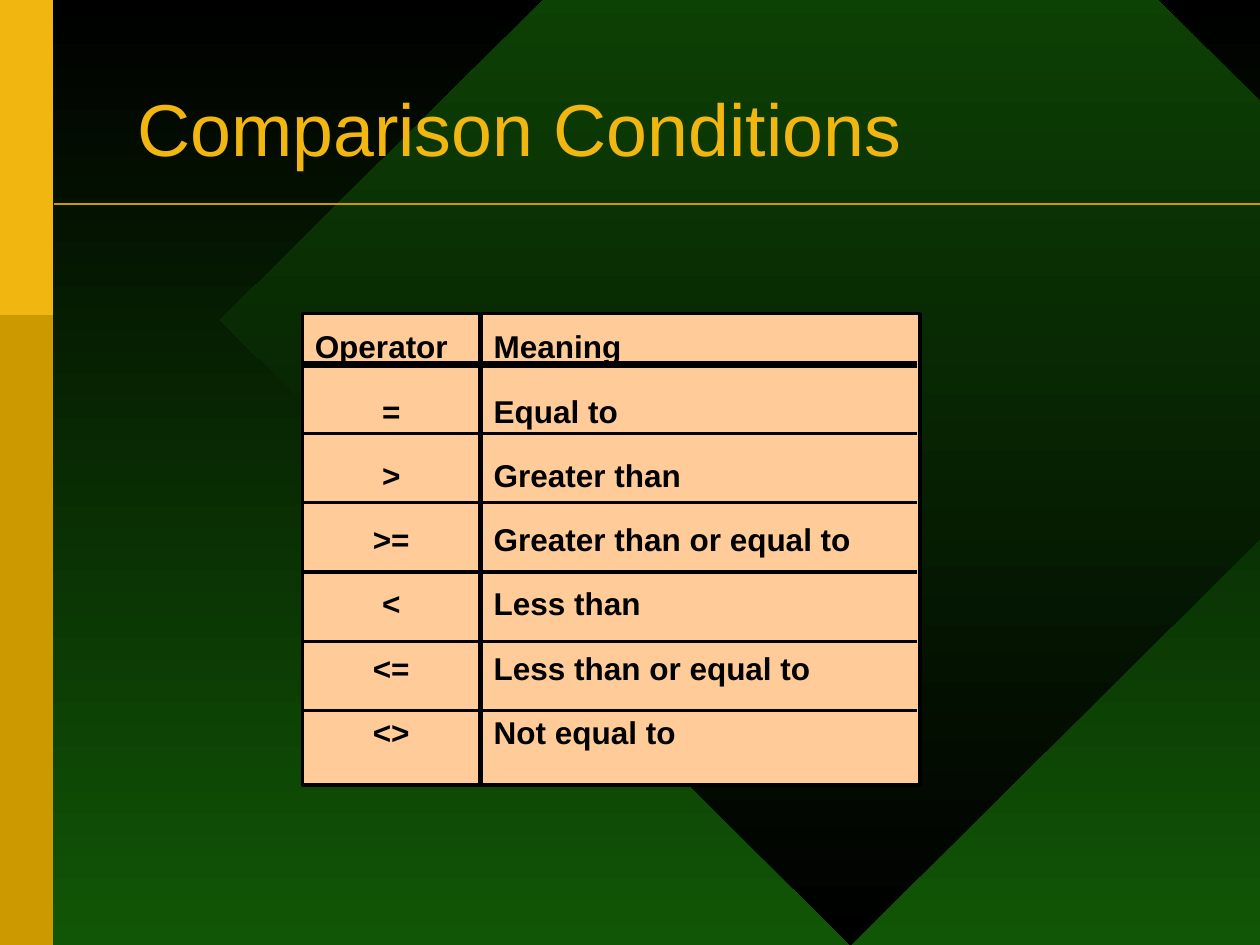
from dataclasses import dataclass

from lxml import etree
from pptx import Presentation
from pptx.dml.color import RGBColor
from pptx.enum.shapes import MSO_CONNECTOR, MSO_SHAPE
from pptx.enum.text import MSO_ANCHOR, MSO_AUTO_SIZE, PP_ALIGN
from pptx.oxml.ns import qn
from pptx.util import Inches, Pt

RECTANGLE, DIAMOND = MSO_SHAPE.RECTANGLE, MSO_SHAPE.DIAMOND
STRAIGHT = MSO_CONNECTOR.STRAIGHT
TOP, MIDDLE = MSO_ANCHOR.TOP, MSO_ANCHOR.MIDDLE
LEFT, CENTER = PP_ALIGN.LEFT, PP_ALIGN.CENTER
GROW = MSO_AUTO_SIZE.SHAPE_TO_FIT_TEXT
DOWNWARD = 270

OPERATORS = [
    ("Operator", "Meaning"),
    ("=", "Equal to"),
    (">", "Greater than"),
    (">=", "Greater than or equal to"),
    ("<", "Less than"),
    ("<=", "Less than or equal to"),
    ("<>", "Not equal to"),
]


@dataclass(frozen=True)
class Theme:
    font: str = "Arial"
    title_size: int = 42
    body_size: int = 18
    black: str = "000000"
    green: str = "115606"
    gold: str = "F1B60F"
    dark_gold: str = "CC9900"
    peach: str = "FFCC99"


class SlideBuilder:
    """Draws on one slide; lengths are cells of a 100 by 75 grid."""

    def __init__(self, deck, theme):
        self.theme = theme
        self.cell = deck.slide_width / 100
        self.page = deck.slides.add_slide(deck.slide_layouts[6])

    def place(self, *cells):
        return [round(value * self.cell) for value in cells]

    def gradient(self, fill, *colors):
        fill.gradient()
        fill.gradient_angle = DOWNWARD
        for stop, color in zip(fill.gradient_stops, colors):
            stop.color.rgb = RGBColor.from_string(color)

    def background(self, *colors):
        self.gradient(self.page.background.fill, *colors)

    def shape(self, preset, area, *colors, border=0):
        """Fill with one colour, or with a downward gradient of two."""
        shape = self.page.shapes.add_shape(preset, *self.place(*area))
        shape.shadow.inherit = False
        if len(colors) > 1:
            self.gradient(shape.fill, *colors)
        else:
            shape.fill.solid()
            shape.fill.fore_color.rgb = RGBColor.from_string(colors[0])
        if border:
            shape.line.color.rgb = RGBColor.from_string(self.theme.black)
            shape.line.width = Pt(border)
        else:
            shape.line.fill.background()
        return shape

    def rule(self, left, right, row, color, width):
        line = self.page.shapes.add_connector(
            STRAIGHT, *self.place(left, row, right, row))
        line.line.color.rgb = RGBColor.from_string(color)
        line.line.width = Pt(width)
        etree.SubElement(line._element.spPr, qn("a:effectLst"))

    def style(self, para, size, color, spacing, bold=False):
        para.line_spacing = spacing
        for span in para.runs:
            span.font.name = self.theme.font
            span.font.size = Pt(size)
            span.font.bold = bold
            span.font.color.rgb = RGBColor.from_string(color)

    def title(self, text, area):
        box = self.page.shapes.add_textbox(*self.place(*area))
        frame = box.text_frame
        frame.word_wrap = True
        frame.vertical_anchor = MIDDLE
        frame.text = text
        self.style(frame.paragraphs[0], self.theme.title_size, self.theme.gold, 0.85)

    def column(self, texts, area, align):
        """Draw a bordered panel with a left-aligned heading over its entries."""
        frame = self.shape(RECTANGLE, area, self.theme.peach, border=2).text_frame
        frame.word_wrap = True
        frame.auto_size = GROW
        frame.vertical_anchor = TOP
        frame.margin_left = frame.margin_right = Inches(0.1)
        frame.margin_top = frame.margin_bottom = Inches(0.05)
        frame.text = "\n".join(texts)
        for index, para in enumerate(frame.paragraphs):
            para.alignment = align if index else LEFT
            self.style(para, self.theme.body_size, self.theme.black, 1.2, bold=True)
            self.space_before(para, 60)

    def space_before(self, para, percent):
        """Set the space above as a share of the line height."""
        para.space_before = Pt(0)
        spacing = para._p.pPr.find(qn("a:spcBef"))
        spacing.remove(spacing[0])
        etree.SubElement(spacing, qn("a:spcPct"), val=str(percent * 1000))


def main():
    deck = Presentation()
    deck.slide_width, deck.slide_height = Inches(10), Inches(7.5)
    theme = Theme()
    slide = SlideBuilder(deck, theme)

    slide.background(theme.black, theme.green)
    slide.shape(DIAMOND, (17.5, -24.2, 100, 99.2), theme.green, theme.black)
    slide.shape(RECTANGLE, (0, 0, 4.2, 75), theme.dark_gold)
    slide.shape(RECTANGLE, (0, 0, 4.2, 25), theme.gold)
    slide.title("Comparison Conditions", (9.9, 5.8, 80.5, 9.6))
    slide.rule(4.3, 100, 16.2, theme.dark_gold, 1)

    symbols, meanings = zip(*OPERATORS)
    left, top, height = 24, 24.9, 37.4
    slide.column(symbols, (left, top, 14.1, height), CENTER)
    slide.column(meanings, (left + 14.2, top, 34.8, height), LEFT)
    for index in range(len(OPERATORS) - 1):
        slide.rule(left, 72.8, 28.9 + 5.5 * index, theme.black, 2 if index else 4)

    deck.save("out.pptx")


if __name__ == "__main__":
    main()
